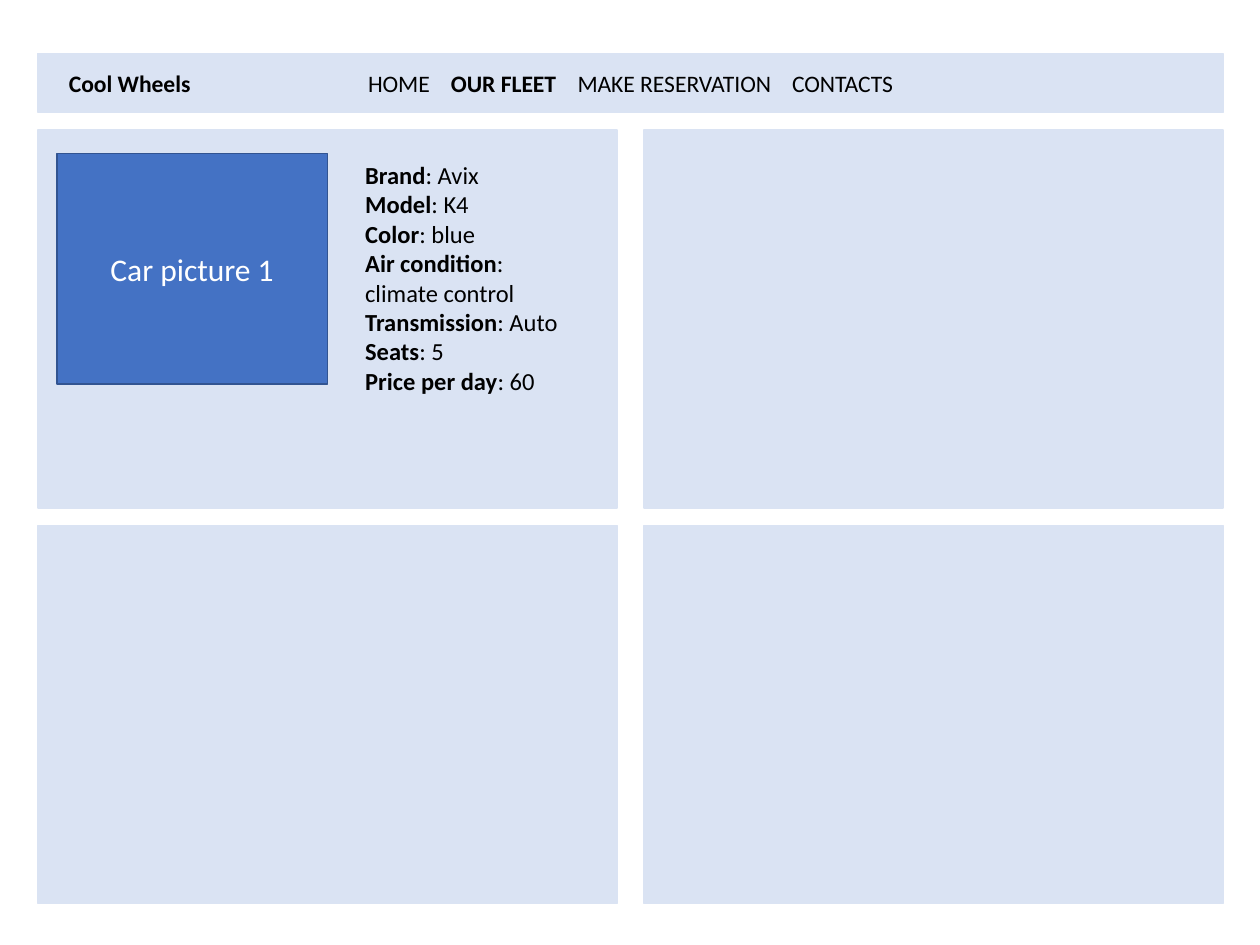
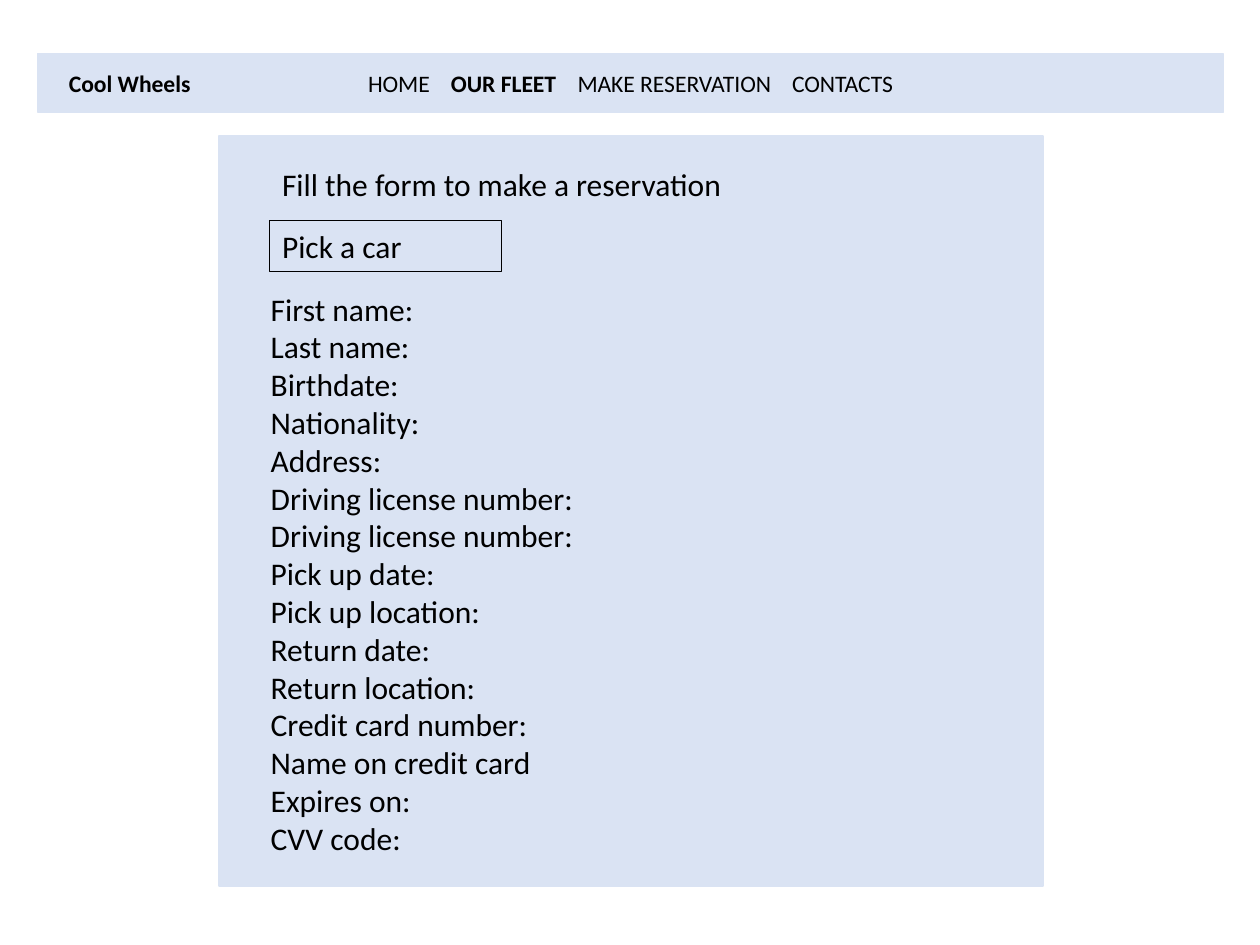
"""Build the fleet page and the reservation page of a car rental site mock-up."""
from lxml.etree import SubElement
from pptx import Presentation
from pptx.dml.color import RGBColor
from pptx.enum.shapes import MSO_SHAPE
from pptx.enum.text import MSO_ANCHOR, MSO_AUTO_SIZE, PP_ALIGN
from pptx.oxml.ns import qn
from pptx.util import Pt

PALE, BLUE, NAVY, BLACK, WHITE = "DAE3F3", "4472C4", "325491", "000000", "FFFFFF"
LEFT, BAR_TOP, BAR_WIDTH, BAR_HEIGHT = 21.6, 31, 677.5, 33.1
MIDDLE = {"vertical_anchor": MSO_ANCHOR.MIDDLE}
BAR = {**MIDDLE, "margin_left": Pt(5), "margin_right": Pt(5),
       "margin_top": Pt(3), "margin_bottom": Pt(3)}
GROW = {"vertical_anchor": MSO_ANCHOR.TOP, "auto_size": MSO_AUTO_SIZE.SHAPE_TO_FIT_TEXT}


def add_rectangle(page, place, fill=PALE, line=PALE, weight=1):
    """Add a plain rectangle placed in points."""
    box = page.shapes.add_shape(MSO_SHAPE.RECTANGLE, *[Pt(value) for value in place])
    box.shadow.inherit = False
    if fill:
        box.fill.solid()
        box.fill.fore_color.rgb = RGBColor.from_string(fill)
    else:
        box.fill.background()
    box.line.color.rgb = RGBColor.from_string(line)
    box.line.width = Pt(weight)
    return box


def write(box, lines, size, frame_format, color=BLACK, align=PP_ALIGN.LEFT):
    """Write lines, each a list of (text, bold) pairs, into a box."""
    frame = box.text_frame
    for name, value in {"word_wrap": True, **frame_format}.items():
        setattr(frame, name, value)
    for index, line in enumerate(lines):
        para = frame.add_paragraph() if index else frame.paragraphs[0]
        para.alignment = align
        for text, bold in line:
            span = para.add_run()
            span.text = text
            span.font.color.rgb = RGBColor.from_string(color)
            for name, value in {"name": "Calibri", "size": Pt(size), "bold": bold}.items():
                setattr(span.font, name, value)


deck = Presentation()
deck.slide_width, deck.slide_height = Pt(720), Pt(540)
fleet, reservation = [deck.slides.add_slide(deck.slide_layouts[6]) for _ in range(2)]

menu = [("HOME\t", False), ("OUR FLEET\t", True), ("MAKE RESERVATION\tCONTACTS", False)]
for page in (fleet, reservation):
    bar = add_rectangle(page, (LEFT, BAR_TOP, BAR_WIDTH, BAR_HEIGHT))
    write(bar, [menu], 13.5, {**BAR, "margin_left": Pt(188.7)})
    tabs = SubElement(bar.text_frame.paragraphs[0]._p.get_or_add_pPr(), qn("a:tabLst"))
    for stop in (47.4, 119.7, 242.3):
        SubElement(tabs, qn("a:tab"), pos=str(Pt(stop)), algn="l")
    name_box = add_rectangle(page, (LEFT, BAR_TOP, 105.1, BAR_HEIGHT))
    write(name_box, [[("Cool Wheels", True)]], 13.5, BAR, align=PP_ALIGN.CENTER)

for row in range(2):
    for column in range(2):
        add_rectangle(fleet, (LEFT + 346.3 * column, 74.2 + 226.1 * row, 331.2, 216))

picture_box = add_rectangle(fleet, (32.4, 87.8, 154.8, 131.8), BLUE, NAVY)
write(picture_box, [[("Car picture 1", False)]], 18, MIDDLE, WHITE, PP_ALIGN.CENTER)

details = {"Brand": "Avix", "Model": "K4", "Color": "blue",
           "Air condition": "climate control", "Transmission": "Auto",
           "Seats": "5", "Price per day": "60"}
details_box = fleet.shapes.add_textbox(Pt(201.6), Pt(87.8), Pt(136.8), Pt(143.3))
write(details_box, [[(label, True), (f": {value}", False)] for label, value in details.items()],
      14, GROW)

add_rectangle(reservation, (125.3, 77.8, 470.9, 428.4))
fields = ["First name:", "Last name:", "Birthdate:", "Nationality:", "Address:",
          "Driving license number:", "Driving license number:", "Pick up date:",
          "Pick up location:", "Return date:", "Return location:", "Credit card number:",
          "Name on credit card", "Expires on:", "CVV code:"]
fields_box = reservation.shapes.add_textbox(Pt(147.6), Pt(162), Pt(426.2), Pt(334.1))
write(fields_box, [[(field, False)] for field in fields], 18, GROW)
heading = reservation.shapes.add_textbox(Pt(154.1), Pt(90.7), Pt(411.8), Pt(29.1))
write(heading, [[("Fill the form to make a reservation", False)]], 18, GROW)
picker = add_rectangle(reservation, (154.1, 126, 132.5, 29.1), None, BLACK, 0.75)
write(picker, [[("Pick a car", False)]], 18, GROW)

deck.save("out.pptx")
